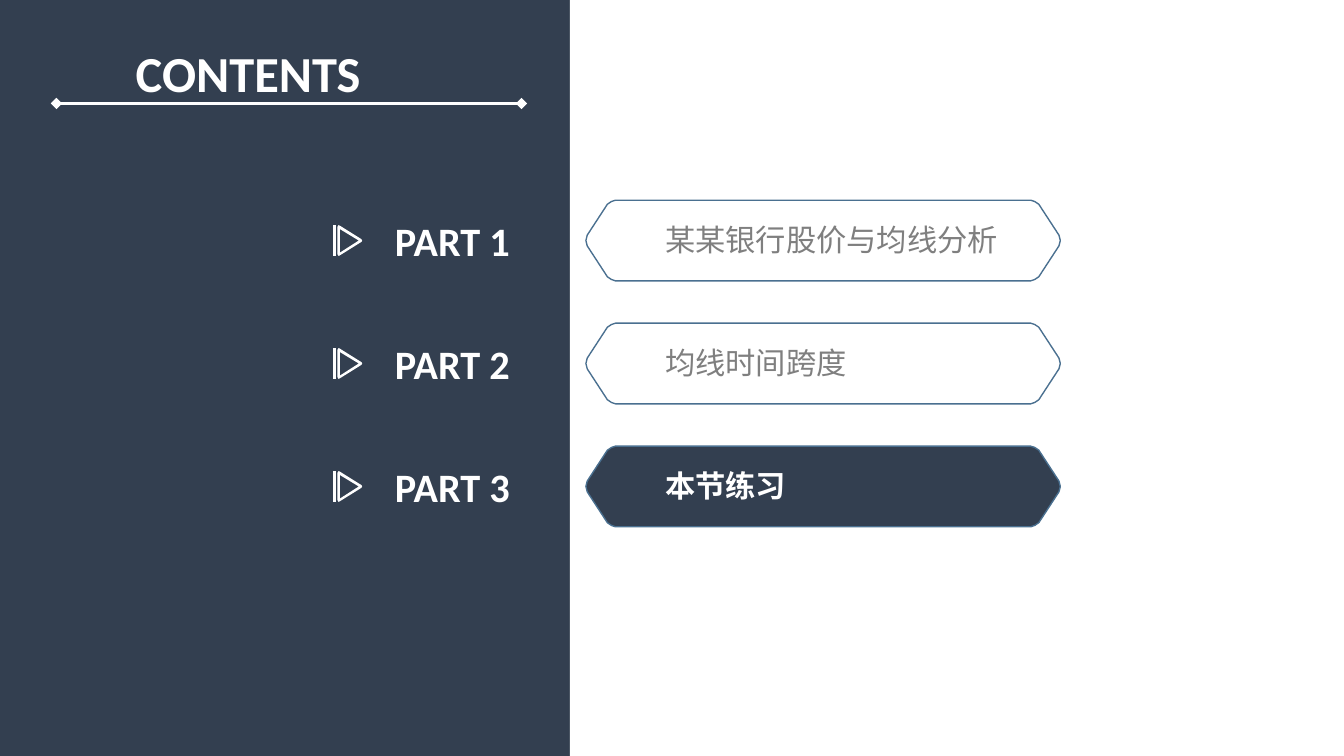
from dataclasses import dataclass

from lxml import etree
from pptx import Presentation
from pptx.dml.color import RGBColor
from pptx.enum.shapes import MSO_CONNECTOR, MSO_SHAPE
from pptx.enum.text import MSO_ANCHOR, MSO_AUTO_SIZE, PP_ALIGN
from pptx.oxml.ns import qn
from pptx.util import Pt

RECTANGLE = MSO_SHAPE.RECTANGLE
STRAIGHT = MSO_CONNECTOR.STRAIGHT
TOP = MSO_ANCHOR.TOP
LEFT = PP_ALIGN.LEFT
NO_AUTOFIT = MSO_AUTO_SIZE.NONE

PX = 914400 // 200
SLIDE_WIDTH, SLIDE_HEIGHT = 2000, 1125
PANEL_LEFT = 848
FIRST_ROW_TOP, ROW_PITCH = 298, 183
BADGE_LEFT, BADGE_WIDTH, BADGE_HEIGHT = 872, 706, 120
ICON_LEFT, ICON_OFFSET = 496, 36

COLORS = {
    "navy": "333F50",
    "white": "FFFFFF",
    "outline": "4A7090",
    "gray": "7F7F7F",
}
LATIN_FONT = "Calibri"
CHINESE_FONT = "Noto Sans CJK SC"

BADGE_CORNER = [(0, 60), (2, 52), (32, 6), (38, 2), (44, 0)]
ICON_CONTOURS = [
    [(6, 4), (6, 44), (8, 47), (10, 46), (42, 26), (43, 24), (42, 22), (10, 2), (8, 1)],
    [(10, 7), (38, 24), (10, 42)],
    [(0, 1), (4, 1), (4, 47), (0, 47)],
]


@dataclass(frozen=True)
class Box:
    left: int
    top: int
    width: int
    height: int

    def emu(self) -> list[int]:
        return [value * PX for value in (self.left, self.top, self.width, self.height)]


@dataclass(frozen=True)
class TextStyle:
    font: str
    size: float
    color: str
    bold: bool = False


@dataclass(frozen=True)
class Part:
    label: str
    topic: str
    active: bool = False


PARTS = [
    Part("PART 1", "某某银行股价与均线分析"),
    Part("PART 2", "均线时间跨度"),
    Part("PART 3", "本节练习", active=True),
]
TITLE_STYLE = TextStyle(LATIN_FONT, 27, "white", True)
LABEL_STYLE = TextStyle(LATIN_FONT, 21.6, "white", True)
TOPIC_STYLE = TextStyle(CHINESE_FONT, 16.2, "gray")
ACTIVE_TOPIC_STYLE = TextStyle(CHINESE_FONT, 16.2, "white", True)


def color(name: str) -> RGBColor:
    return RGBColor.from_string(COLORS[name])


def write_text(shape, text: str, style: TextStyle) -> None:
    frame = shape.text_frame
    frame.word_wrap = True
    frame.auto_size = NO_AUTOFIT
    frame.vertical_anchor = TOP
    paragraph = frame.paragraphs[0]
    paragraph.text = text
    paragraph.alignment = LEFT
    paragraph.line_spacing = 1.0
    font = paragraph.font
    font.size = Pt(style.size)
    font.bold = style.bold
    font.color.rgb = color(style.color)
    font.name = style.font
    properties = paragraph._p.pPr.find(qn("a:defRPr"))
    etree.SubElement(properties, qn("a:ea"), typeface=style.font)


def add_text(slide, box: Box, text: str, style: TextStyle) -> None:
    write_text(slide.shapes.add_textbox(*box.emu()), text, style)


def add_outline(slide, contours: list, left: int, top: int, fill: str | None, line: str | None) -> None:
    moved = [[(left + x, top + y) for x, y in contour] for contour in contours]
    builder = slide.shapes.build_freeform(*moved[0][0], scale=PX)
    builder.add_line_segments(moved[0][1:], close=True)
    for contour in moved[1:]:
        builder.move_to(*contour[0])
        builder.add_line_segments(contour[1:], close=True)
    shape = builder.convert_to_shape()
    shape.shadow.inherit = False
    if fill:
        shape.fill.solid()
        shape.fill.fore_color.rgb = color(fill)
    else:
        shape.fill.background()
    if line:
        shape.line.color.rgb = color(line)
        shape.line.width = Pt(0.75)
    else:
        shape.line.fill.background()


def badge_contour() -> list[tuple[int, int]]:
    upper_right = [(BADGE_WIDTH - x, y) for x, y in reversed(BADGE_CORNER)]
    upper = BADGE_CORNER + upper_right
    lower = [(x, BADGE_HEIGHT - y) for x, y in reversed(upper[1:-1])]
    return upper + lower


def add_panel(slide) -> None:
    box = Box(PANEL_LEFT, 0, SLIDE_WIDTH - PANEL_LEFT, SLIDE_HEIGHT)
    panel = slide.shapes.add_shape(RECTANGLE, *box.emu())
    panel.shadow.inherit = False
    panel.fill.solid()
    panel.fill.fore_color.rgb = color("white")
    panel.line.fill.background()


def add_title(slide) -> None:
    title = slide.shapes.title
    title.left, title.top, title.width, title.height = Box(182, 52, 738, 112).emu()
    write_text(title, "CONTENTS", TITLE_STYLE)


def add_title_rule(slide) -> None:
    start_x, end_x, y = (value * PX for value in (84, 776, 154))
    rule = slide.shapes.add_connector(STRAIGHT, start_x, y, end_x, y)
    rule.line.color.rgb = color("white")
    rule.line.width = Pt(2)
    line = rule.line._get_or_add_ln()
    for end in ("a:headEnd", "a:tailEnd"):
        etree.SubElement(line, qn(end), type="diamond")
    etree.SubElement(rule._element.spPr, qn("a:effectLst"))


def add_part(slide, part: Part, top: int) -> None:
    fill = "navy" if part.active else None
    style = ACTIVE_TOPIC_STYLE if part.active else TOPIC_STYLE
    add_outline(slide, [badge_contour()], BADGE_LEFT, top, fill, "outline")
    add_outline(slide, ICON_CONTOURS, ICON_LEFT, top + ICON_OFFSET, "white", None)
    add_text(slide, Box(568, top + 14, 304, 92), part.label, LABEL_STYLE)
    add_text(slide, Box(970, top + 22, 542, 74), part.topic, style)


def main() -> None:
    presentation = Presentation()
    presentation.slide_width = SLIDE_WIDTH * PX
    presentation.slide_height = SLIDE_HEIGHT * PX
    slide = presentation.slides.add_slide(presentation.slide_layouts[5])
    slide.background.fill.solid()
    slide.background.fill.fore_color.rgb = color("navy")
    add_panel(slide)
    add_title(slide)
    add_title_rule(slide)
    for row, part in enumerate(PARTS):
        add_part(slide, part, FIRST_ROW_TOP + row * ROW_PITCH)
    presentation.save("out.pptx")


if __name__ == "__main__":
    main()
